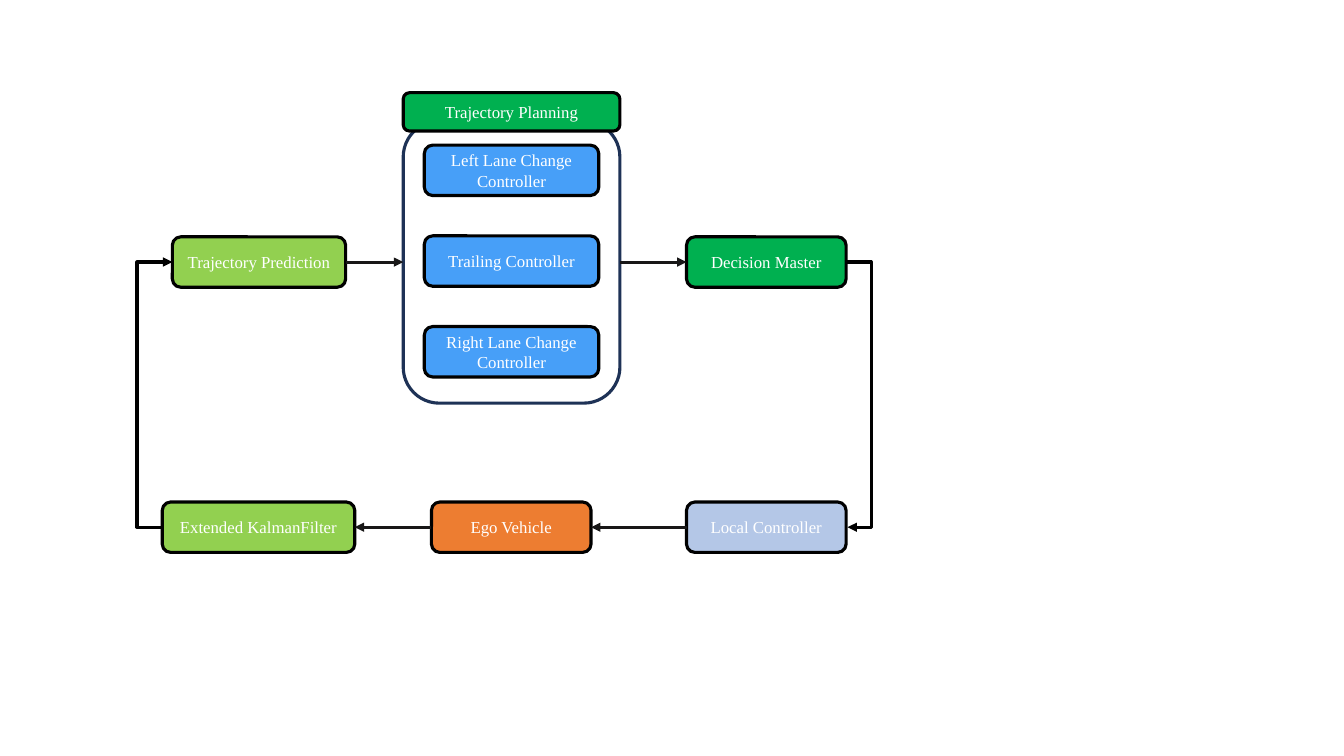
from pptx import Presentation
from pptx.dml.color import RGBColor
from pptx.enum.shapes import MSO_CONNECTOR as CONN, MSO_SHAPE as SHAPE
from pptx.enum.text import MSO_ANCHOR, PP_ALIGN
from pptx.oxml.ns import qn
from pptx.util import Pt
from lxml.etree import SubElement

BLUE, GREEN, LIME = "479FF8", "00B050", "92D050"
ORANGE, PALE, NAVY = "ED7D31", "B4C7E7", "1E3256"
BLACK, INK, WHITE = "000000", "181717", "FFFFFF"
LEFT, RIGHT = 1, 3  # connection sites of a rounded rectangle
BOX_H = 36
TOP_Y, BOTTOM_Y = 169.2, 358.6


def add_box(x, y, w, h, text="", fill=None, line=BLACK):
    sp = slide.shapes.add_shape(SHAPE.ROUNDED_RECTANGLE, Pt(x), Pt(y), Pt(w), Pt(h))
    sp.shadow.inherit = False
    sp.line.color.rgb = RGBColor.from_string(line)
    sp.line.width = Pt(2.25)
    if fill is None:
        sp.fill.background()
        return sp
    sp.fill.solid()
    sp.fill.fore_color.rgb = RGBColor.from_string(fill)
    tf = sp.text_frame
    tf.word_wrap = True
    tf.vertical_anchor = MSO_ANCHOR.MIDDLE
    p = tf.paragraphs[0]
    p.text = text
    p.alignment = PP_ALIGN.CENTER
    p.font.size = Pt(12)
    p.font.name = "Times New Roman"
    p.font.color.rgb = RGBColor.from_string(WHITE)
    return sp


def add_arrow(kind, x1, y1, x2, y2, color):
    """Add a connector with a triangle at its end; positions are lengths."""
    cx = slide.shapes.add_connector(kind, x1, y1, x2, y2)
    cx.line.color.rgb = RGBColor.from_string(color)
    cx.line.width = Pt(2.25)
    SubElement(cx.line._get_or_add_ln(), qn("a:tailEnd"), type="triangle")
    SubElement(cx._element.spPr, qn("a:effectLst"))
    return cx


prs = Presentation()
prs.slide_width, prs.slide_height = Pt(960), Pt(540)
slide = prs.slides.add_slide(prs.slide_layouts[6])

# Trajectory planning block with its three controllers
planning = add_box(288, 86.4, 154.8, 201.6, line=NAVY)
add_box(288, 66.2, 154.8, 27.4, "Trajectory Planning", GREEN)
controllers = ["Left Lane Change Controller", "Trailing Controller", "Right Lane Change Controller"]
for i, name in enumerate(controllers):
    add_box(303.1, 103.7 + 64.8 * i, 124.6, BOX_H, name, BLUE)

# Boxes of the control loop
prediction = add_box(123.1, TOP_Y, 123.8, BOX_H, "Trajectory Prediction", LIME)
decision = add_box(490.4, TOP_Y, 114, BOX_H, "Decision Master", GREEN)
local = add_box(490.4, BOTTOM_Y, 114, BOX_H, "Local Controller", PALE)
ego = add_box(308.2, BOTTOM_Y, 114, BOX_H, "Ego Vehicle", ORANGE)
kalman = add_box(115.9, BOTTOM_Y, 137.5, BOX_H, "Extended KalmanFilter", LIME)

# Straight arrows along the two rows
for start, start_site, end, end_site in [
    (prediction, RIGHT, planning, LEFT),
    (planning, RIGHT, decision, LEFT),
    (local, LEFT, ego, RIGHT),
    (ego, LEFT, kalman, RIGHT),
]:
    arrow = add_arrow(CONN.STRAIGHT, 0, 0, 0, 0, INK)
    arrow.begin_connect(start, start_site)
    arrow.end_connect(end, end_site)

# Bent arrows between the rows, each swinging 18 pt out of its first box
top_mid, bottom_mid = Pt(TOP_Y + BOX_H / 2), Pt(BOTTOM_Y + BOX_H / 2)
right_edge = decision.left + decision.width
for x1, y1, x2, y2, swing in [
    (right_edge, top_mid, right_edge + Pt(1), bottom_mid, Pt(18)),
    (kalman.left, bottom_mid, prediction.left, top_mid, -Pt(18)),
]:
    arrow = add_arrow(CONN.ELBOW, x1, y1, x2, y2, BLACK)
    guides = arrow._element.spPr.find(qn("a:prstGeom")).get_or_add_avLst()
    bend = round(100000 * swing / (x2 - x1))
    SubElement(guides, qn("a:gd"), name="adj1", fmla=f"val {bend}")

prs.save("out.pptx")
